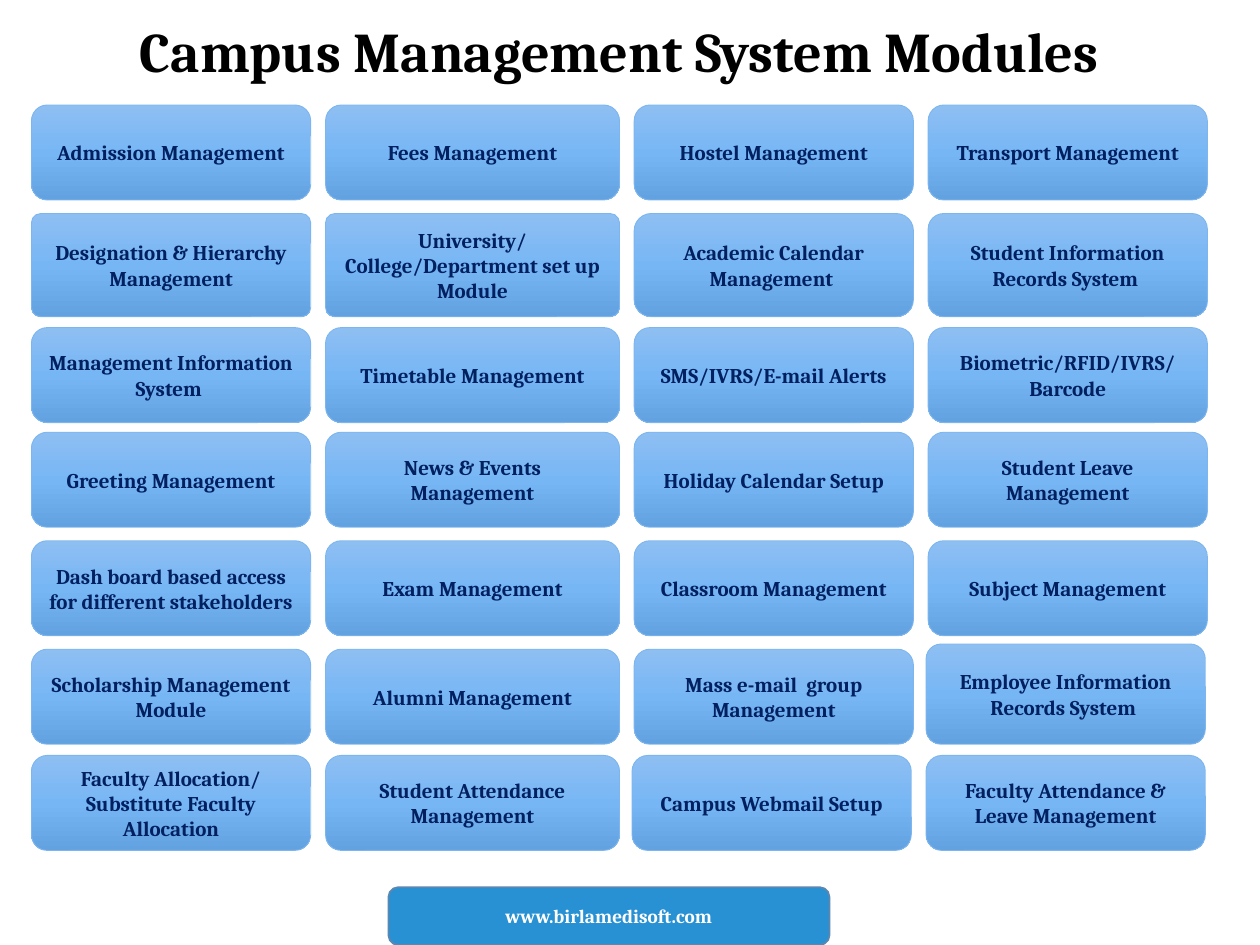
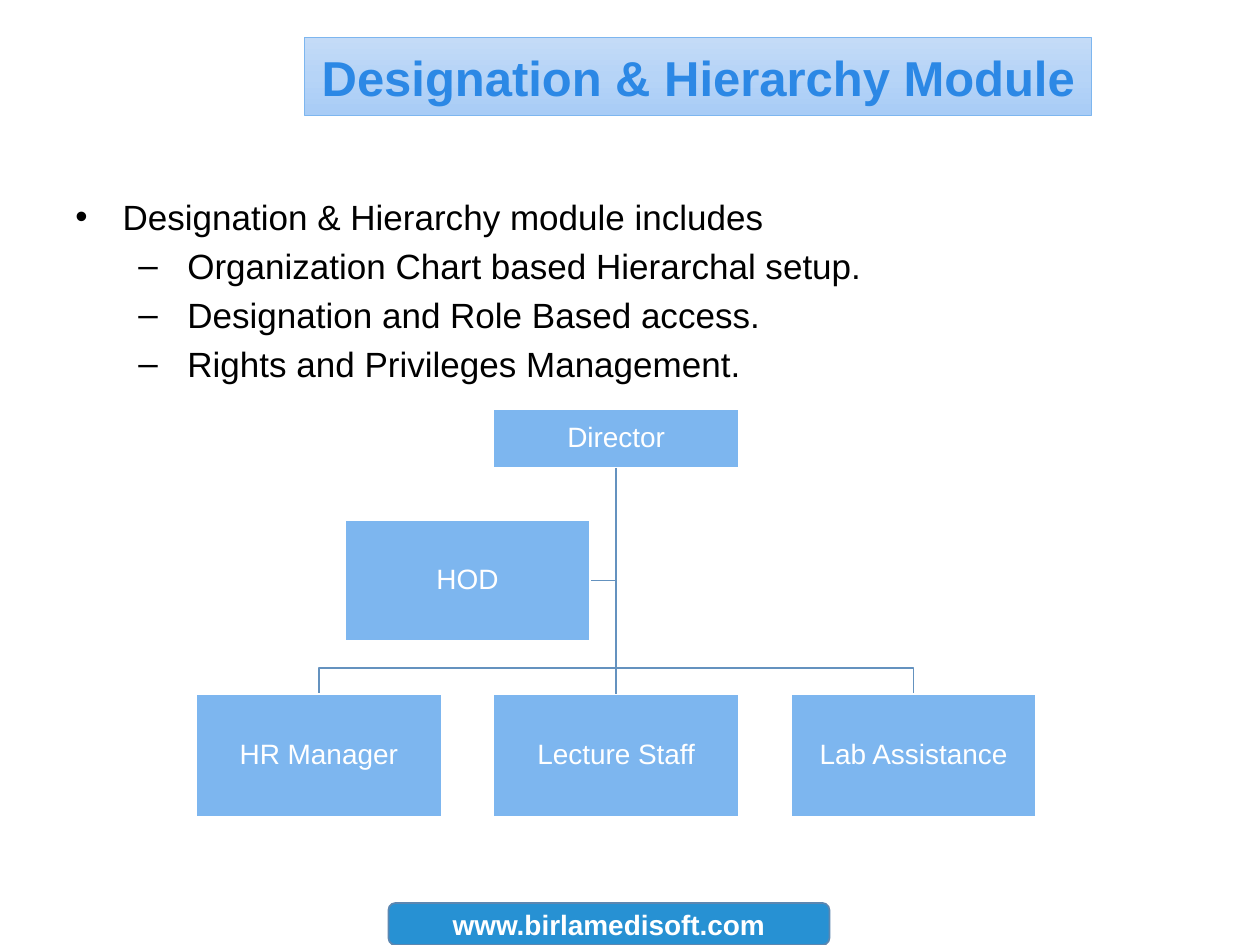
from copy import deepcopy

from lxml.etree import SubElement
from pptx import Presentation
from pptx.dml.color import RGBColor
from pptx.enum.shapes import MSO_CONNECTOR, MSO_SHAPE
from pptx.enum.text import MSO_ANCHOR, PP_ALIGN
from pptx.oxml.ns import qn
from pptx.util import Pt

MODULES = [
    ["Admission Management", "Fees Management",
     "Hostel Management", "Transport Management"],
    ["Designation & Hierarchy Management", "University/ College/Department set up Module",
     "Academic Calendar Management ", "Student Information Records System "],
    ["Management Information System ", "Timetable Management",
     "SMS/IVRS/E-mail Alerts", "Biometric/RFID/IVRS/Barcode"],
    ["Greeting Management", "News & Events Management",
     "Holiday Calendar Setup", "Student Leave Management"],
    ["Dash board based access for different stakeholders", "Exam Management",
     "Classroom Management", "Subject Management"],
    ["Scholarship Management Module", "Alumni Management",
     "Mass e-mail  group Management", "Employee Information Records System "],
    ["Faculty Allocation/ Substitute Faculty Allocation", "Student Attendance Management",
     "Campus Webmail Setup", "Faculty Attendance & Leave Management"],
]
BULLETS = [
    (0, "Designation & Hierarchy module includes"),
    (1, "Organization Chart based Hierarchal setup."),
    (1, "Designation and Role Based access."),
    (1, "Rights and Privileges Management.\u00a0"),
]
STAFF = ["HR Manager", "Lecture Staff", "Lab Assistance"]
SITE = "www.birlamedisoft.com"

COLORS = {
    "text": "000000", "white": "FFFFFF", "navy": "002060", "title": "2C88E5",
    "footer": "2791D3", "footer_line": "5C87B1", "box": "7DB6EF", "link": "6492BF",
}
MODULE_FILL = ["8EBFF2", "77B6F5", "63A2E1"]
TITLE_FILL = ["C4DBF7", "B6D4F7", "A8CCF6"]

COLUMNS = [(18, 159.6), (186, 168), (362.4, 159.6), (530.4, 159.6)]
ROWS = [(60, 54.3), (122, 59), (187.2, 54.3), (247, 54.3),
        (309, 54.3), (371, 54.3), (431.7, 54.3)]
NUDGES = {(5, 3): (-1.2, -3), (6, 2): (-1.2, 0), (6, 3): (-1.2, 0)}
CORNERS = {(1, 0): 0.09, (1, 1): 0.09, (1, 3): 0.15, (5, 3): 0.15}
LEVELS = [("•", 27, 27), ("–", 64, 28)]


def rgb(name):
    return RGBColor.from_string(COLORS[name])


def write(p, text, size, color, font="Arial", bold=False):
    r = p.add_run()
    r.text = text
    r.font.name = font
    r.font.size = Pt(size)
    r.font.bold = bold
    r.font.color.rgb = rgb(color)


def fill_gradient(s, stops):
    s.fill.gradient()
    s.fill.gradient_angle = 270
    gs_list = s.element.find(".//" + qn("a:gsLst"))
    gs_list.append(deepcopy(gs_list[-1]))
    for i, (stop, color) in enumerate(zip(s.fill.gradient_stops, stops)):
        stop.position = i / (len(stops) - 1)
        stop.color.rgb = RGBColor.from_string(color)


def add_box(slide, shape, at, fill, line, width, text, size, color, **style):
    s = slide.shapes.add_shape(shape, *map(Pt, at))
    s.shadow.inherit = False
    if isinstance(fill, list):
        fill_gradient(s, fill)
    else:
        s.fill.solid()
        s.fill.fore_color.rgb = rgb(fill)
    s.line.color.rgb = rgb(line)
    s.line.width = Pt(width)
    tf = s.text_frame
    tf.word_wrap = True
    tf.vertical_anchor = MSO_ANCHOR.MIDDLE
    p = tf.paragraphs[0]
    p.alignment = PP_ALIGN.CENTER
    write(p, text, size, color, **style)
    return s


def add_text(slide, *at):
    tf = slide.shapes.add_textbox(*map(Pt, at)).text_frame
    tf.word_wrap = True
    return tf


def add_footer(slide, top, size, font):
    add_box(slide, MSO_SHAPE.ROUNDED_RECTANGLE, (222, top, 252, 540 - top),
            "footer", "footer_line", 1, SITE, size, "white", font=font, bold=True)


def style_link(s):
    s.line.color.rgb = rgb("link")
    s.line.width = Pt(1)


def add_bent_link(slide, *points):
    start, *rest = [(Pt(x), Pt(y)) for x, y in points]
    builder = slide.shapes.build_freeform(*start)
    builder.add_line_segments(rest, close=False)
    s = builder.convert_to_shape()
    s.shadow.inherit = False
    s.fill.background()
    style_link(s)


def add_straight_link(slide, x1, y1, x2, y2, begin, end):
    c = slide.shapes.add_connector(MSO_CONNECTOR.STRAIGHT, *map(Pt, (x1, y1, x2, y2)))
    c.begin_connect(begin, 2)
    c.end_connect(end, 0)
    style_link(c)
    SubElement(c.element.spPr, qn("a:effectLst"))


def add_post(slide, text, center, top, height):
    s = add_box(slide, MSO_SHAPE.RECTANGLE, (center - 70.2, top, 140.4, height),
                "box", "white", 1, text, 16, "white")
    tf = s.text_frame
    tf.margin_left = tf.margin_right = tf.margin_top = tf.margin_bottom = Pt(0.72)
    tf.paragraphs[0].line_spacing = 0.9
    return s


def build_modules(slide):
    add_footer(slide, 507, 11, "Cambria")
    for i, (names, (top, height)) in enumerate(zip(MODULES, ROWS)):
        for j, (name, (left, width)) in enumerate(zip(names, COLUMNS)):
            dx, dy = NUDGES.get((i, j), (0, 0))
            s = add_box(slide, MSO_SHAPE.ROUNDED_RECTANGLE,
                        (left + dx, top + dy, width, height - dy), MODULE_FILL, "box", 0.5,
                        name, 12, "navy", font="Cambria", bold=True)
            if (i, j) in CORNERS:
                s.adjustments[0] = CORNERS[i, j]
    p = add_text(slide, 18, 6, 672, 46).paragraphs[0]
    p.alignment = PP_ALIGN.CENTER
    write(p, "Campus Management System Modules", 32, "text", font="Cambria", bold=True)


def build_bullets(slide):
    tf = add_text(slide, 36, 108, 648, 342)
    for i, (level, text) in enumerate(BULLETS):
        p = tf.paragraphs[0] if i == 0 else tf.add_paragraph()
        char, margin, hang = LEVELS[level]
        p.level = level
        if i:
            p.space_before = Pt(4)
        pPr = p._p.get_or_add_pPr()
        pPr.set("marL", str(Pt(margin)))
        pPr.set("indent", str(-Pt(hang)))
        SubElement(pPr, qn("a:buFont")).set("typeface", "Arial")
        SubElement(pPr, qn("a:buChar")).set("char", char)
        write(p, text, 20, "text")


def build_hierarchy(slide):
    add_box(slide, MSO_SHAPE.RECTANGLE, (174, 21.5, 450, 44.5), TITLE_FILL, "box", 0.5,
            "Designation & Hierarchy Module", 28, "title", bold=True)
    build_bullets(slide)
    add_footer(slide, 516, 16, "Arial")

    middle, step = 352.1, 169.9
    director_bottom, hod_middle, bus, staff_top = 267.4, 331.8, 381.6, 396.7
    hod_center = middle - step / 2
    centers = [middle + step * k for k in (-1, 0, 1)]

    trunk_top = (middle, director_bottom)
    add_bent_link(slide, trunk_top, (middle, hod_middle), (hod_center + 70.2, hod_middle))
    for x in (centers[2], centers[0]):
        add_bent_link(slide, trunk_top, (middle, bus), (x, bus), (x, staff_top))

    director = add_post(slide, "Director", middle, 234, director_bottom - 234)
    staff = [add_post(slide, name, x, staff_top, 70) for name, x in zip(STAFF, centers)]
    add_post(slide, "HOD", hod_center, hod_middle - 34.5, 69)
    add_straight_link(slide, *trunk_top, middle, staff_top, director, staff[1])


def main():
    prs = Presentation()
    prs.slide_width, prs.slide_height = Pt(720), Pt(540)
    for build in (build_modules, build_hierarchy):
        build(prs.slides.add_slide(prs.slide_layouts[6]))
    prs.save("out.pptx")


if __name__ == "__main__":
    main()
